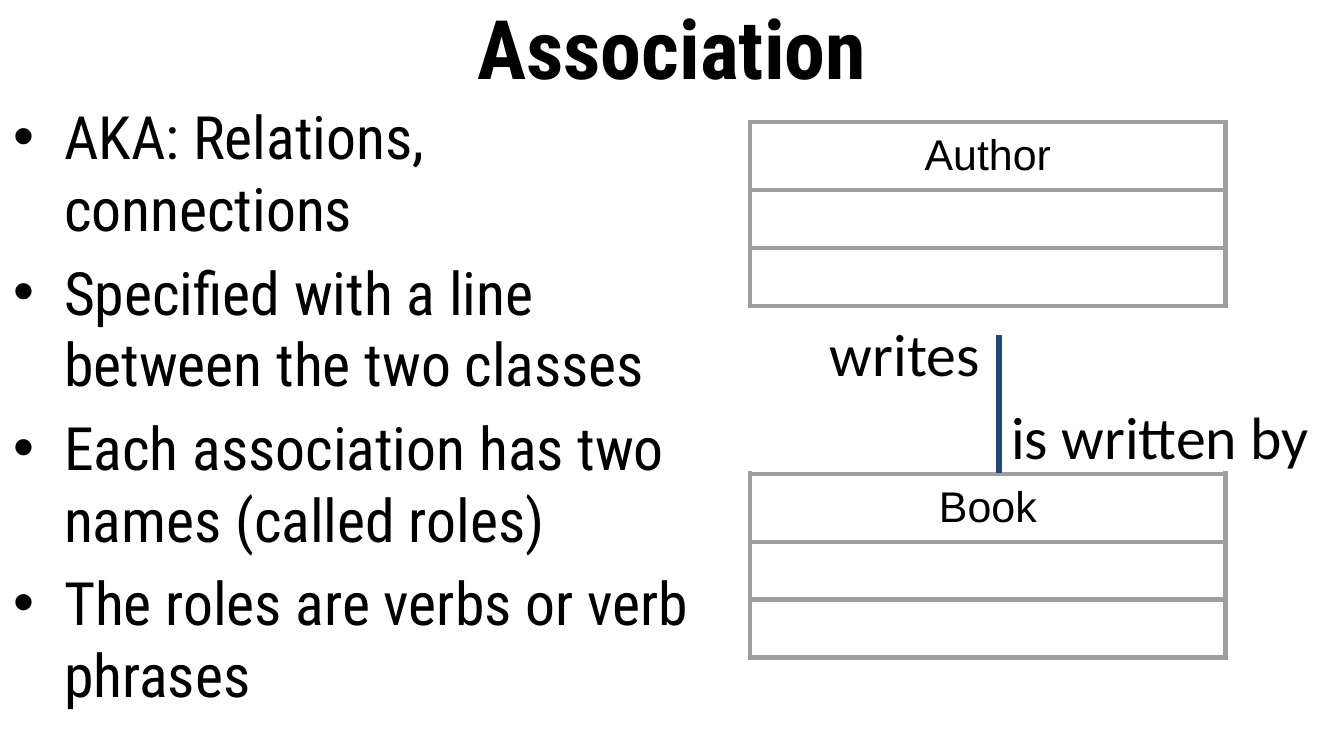
from dataclasses import dataclass

from pptx import Presentation
from pptx.dml.color import RGBColor as Color
from pptx.enum.shapes import MSO_CONNECTOR as Link
from pptx.enum.text import MSO_ANCHOR as Anchor, PP_ALIGN as Align
from pptx.oxml.ns import qn
from pptx.util import Pt
from lxml.etree import SubElement as Sub


@dataclass(frozen=True)
class Theme:
    ink: str = "000000"
    paper: str = "FFFFFF"
    frame: str = "9E9E9E"
    link: str = "1F497D"
    head: tuple = ("Roboto Condensed", 44, True)
    body: tuple = ("Roboto Condensed", 32, False)
    label: tuple = ("Calibri", 32, False)
    cell: tuple = ("Arial", 23, False)
    gap: float = 6.4
    line: float = 3


THEME = Theme()
SCALE = 914400 / 134.4


def px(n):
    return round(n * SCALE)


def assign(item, values):
    for key, value in values.items():
        setattr(item, key, value)


def write(para, text, style):
    face, size, bold = style
    run = para.add_run()
    run.text = text
    assign(run.font, dict(name=face, size=Pt(size), bold=bold))
    run.font.color.rgb = Color.from_string(THEME.ink)


def text_box(slide, box, pad, anchor):
    frame = slide.shapes.add_textbox(*map(px, box)).text_frame
    assign(frame, dict(word_wrap=True, vertical_anchor=anchor,
                       margin_left=px(13), margin_right=px(13),
                       margin_top=px(pad), margin_bottom=px(pad)))
    return frame


def add_title(slide, box, text):
    para = text_box(slide, box, 7, Anchor.MIDDLE).paragraphs[0]
    para.alignment = Align.CENTER
    write(para, text, THEME.head)


def add_bullet(para, indent):
    props = para._p.get_or_add_pPr()
    props.set("marL", str(px(indent)))
    props.set("indent", str(-px(indent)))
    tint = Sub(props, qn("a:buClr"))
    Sub(tint, qn("a:srgbClr"), val=THEME.ink)
    Sub(props, qn("a:buFont"), typeface="Arial")
    Sub(props, qn("a:buChar"), char="•")


def add_list(slide, box, points):
    frame = text_box(slide, box, 7, Anchor.TOP)
    for i, point in enumerate(points):
        para = frame.add_paragraph() if i else frame.paragraphs[0]
        add_bullet(para, 51)
        if i:
            para.space_before = Pt(THEME.gap)
        write(para, point, THEME.body)


def add_label(slide, box, text):
    frame = text_box(slide, box, 13, Anchor.MIDDLE)
    write(frame.paragraphs[0], text, THEME.label)


def add_border(cell):
    props = cell._tc.get_or_add_tcPr()
    for i, side in enumerate(("lnL", "lnR", "lnT", "lnB")):
        line = props.makeelement(qn("a:" + side), {"w": str(Pt(THEME.line))})
        fill = Sub(line, qn("a:solidFill"))
        Sub(fill, qn("a:srgbClr"), val=THEME.frame)
        props.insert(i, line)


def add_class(slide, box, name):
    left, top, width, height = box
    first = 68
    rest = (height - first) // 2
    table = slide.shapes.add_table(3, 1, *map(px, box)).table
    assign(table, dict(first_row=False, horz_banding=False))
    table.columns[0].width = px(width)
    for row, size in zip(table.rows, (first, rest, rest)):
        row.height = px(size)
        cell = row.cells[0]
        assign(cell, dict(margin_top=0, margin_bottom=0,
                          vertical_anchor=Anchor.MIDDLE))
        cell.fill.solid()
        cell.fill.fore_color.rgb = Color.from_string(THEME.paper)
        add_border(cell)
    para = table.cell(0, 0).text_frame.paragraphs[0]
    para.alignment = Align.CENTER
    write(para, name, THEME.cell)


def add_link(slide, x, top, end):
    line = slide.shapes.add_connector(Link.STRAIGHT, *map(px, (x, top, x, end)))
    line.line.color.rgb = Color.from_string(THEME.link)
    line.line.width = Pt(THEME.line)
    Sub(line._element.spPr, qn("a:effectLst"))


def add_model(slide, box):
    left, top, width, height = box
    tall = 184
    low = top + height - tall
    add_class(slide, (left, top, width, tall), "Author")
    add_class(slide, (left, low, width, tall), "Book")
    add_link(slide, left + 249, top + 213, low - 1)
    add_label(slide, (left + 67, top + 193, 203, 75), "writes")
    add_label(slide, (left + 248, top + 276, 337, 75), "is written by")


def main():
    deck = Presentation()
    assign(deck, dict(slide_width=px(1344), slide_height=px(756)))
    slide = deck.slides.add_slide(deck.slide_layouts[6])
    add_title(slide, (0, 0, 1344, 93), "Association")
    add_list(slide, (0, 93, 720, 663), (
        "AKA: Relations, connections",
        "Specified with a line between the two classes",
        "Each association has two names (called roles)",
        "The roles are verbs or verb phrases",
    ))
    add_model(slide, (750, 122, 476, 536))
    deck.save("out.pptx")


if __name__ == "__main__":
    main()
